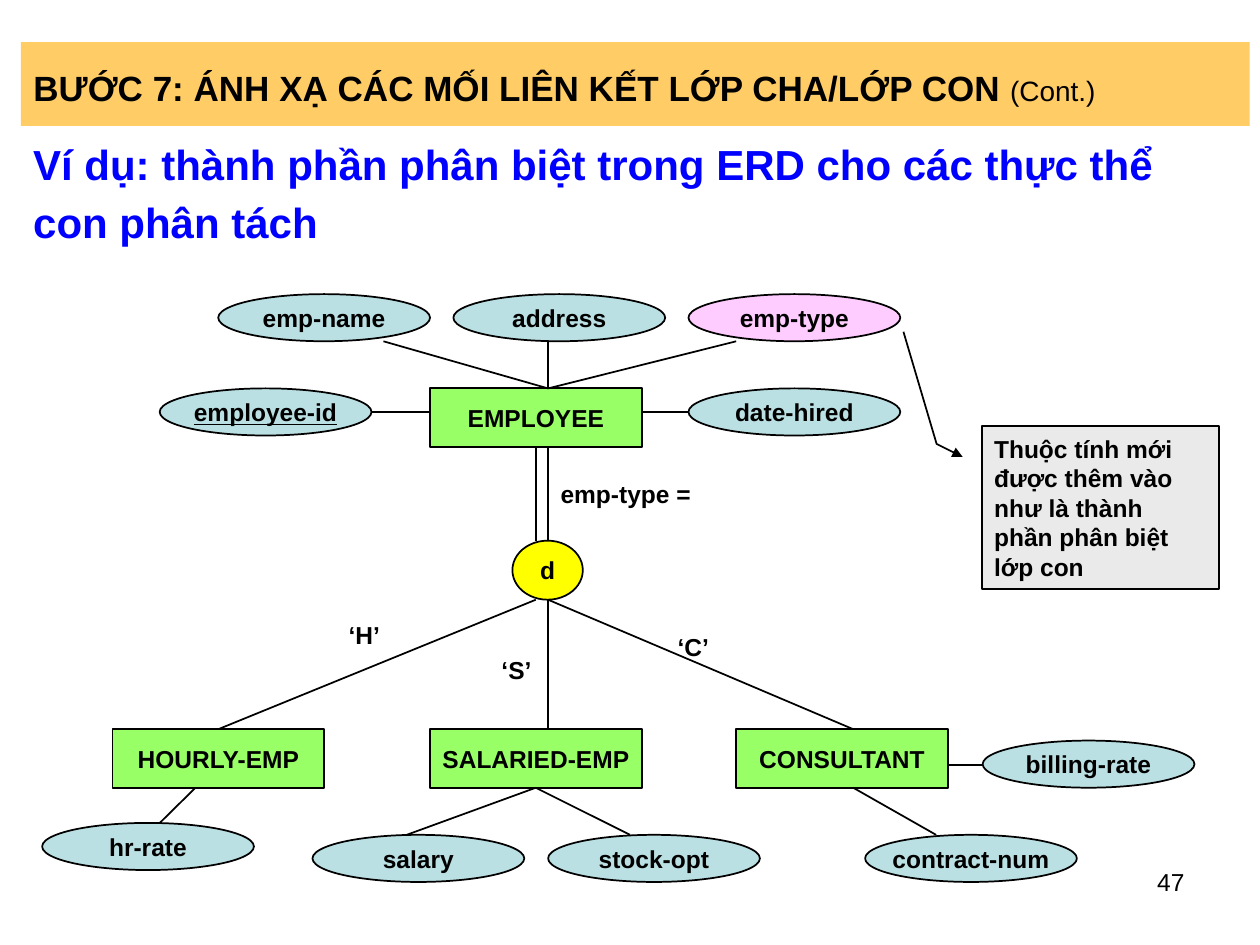
"""Build the slide on mapping superclass/subclass links, with its EMPLOYEE diagram."""
from lxml.etree import SubElement
from pptx import Presentation
from pptx.dml.color import RGBColor
from pptx.enum.shapes import MSO_CONNECTOR, MSO_SHAPE
from pptx.enum.text import MSO_ANCHOR as ANCHOR, MSO_AUTO_SIZE, PP_ALIGN as ALIGN
from pptx.oxml.ns import qn
from pptx.util import Cm, Pt

COLORS = {"black": "000000", "banner": "FFCC66", "heading": "0000FF", "entity": "99FF66",
          "attribute": "BBE0E3", "discriminator": "FFCCFF", "disjoint": "FFFF00", "note": "EAEAEA"}


def write(shape, text, size=14, color="black", bold=True, align=ALIGN.LEFT, wrap=True,
          anchor=ANCHOR.MIDDLE, spacing=1.0):
    frame = shape.text_frame
    frame.text = text
    frame.word_wrap = wrap
    frame.auto_size = MSO_AUTO_SIZE.NONE
    frame.vertical_anchor = anchor
    paragraph = frame.paragraphs[0]
    paragraph.alignment = align
    paragraph.line_spacing = spacing
    font = paragraph.runs[0].font
    font.name, font.size, font.bold = "Arial", Pt(size), bold
    font.color.rgb = RGBColor.from_string(COLORS[color])
    return paragraph


def draw(kind, box, fill):
    shape = slide.shapes.add_shape(kind, *map(Cm, box))
    shape.shadow.inherit = False
    shape.fill.solid()
    shape.fill.fore_color.rgb = RGBColor.from_string(COLORS[fill])
    shape.line.color.rgb = RGBColor.from_string(COLORS["black"])
    shape.line.width = Pt(1)
    return shape


deck = Presentation()
deck.slide_width, deck.slide_height = Cm(25.4), Cm(19.05)
slide = deck.slides.add_slide(deck.slide_layouts[5])

banner = slide.shapes.title
banner.left, banner.top, banner.width, banner.height = map(Cm, (0.42, 0.85, 24.77, 1.69))
banner.fill.solid()
banner.fill.fore_color.rgb = RGBColor.from_string(COLORS["banner"])
heading = write(banner, "BƯỚC 7: ÁNH XẠ CÁC MỐI LIÊN KẾT LỚP CHA/LỚP CON ", size=20, spacing=1.15)
continued = heading.add_run()
continued.text = "(Cont.)"
continued.font.name, continued.font.size, continued.font.bold = "Arial", Pt(16), False
continued.font.color.rgb = RGBColor.from_string(COLORS["black"])

example = slide.shapes.add_textbox(Cm(0.42), Cm(2.96), Cm(24.77), Cm(1.69))
write(example, "Ví dụ: thành phần phân biệt trong ERD cho các thực thể con phân tách",
      size=24, color="heading", spacing=1.15)

NODE_W, ENTITY_H, ATTRIBUTE_H = 4.27, 1.19, 0.95
entities = [("EMPLOYEE", 8.67, 7.83), ("HOURLY-EMP", 2.27, 14.7),
            ("SALARIED-EMP", 8.67, 14.7), ("CONSULTANT", 14.84, 14.7)]
attributes = [("emp-name", 4.4, 5.93), ("address", 9.14, 5.93), ("emp-type", 13.88, 5.93),
              ("employee-id", 3.22, 7.83), ("date-hired", 13.88, 7.83),
              ("billing-rate", 19.81, 14.93), ("hr-rate", 0.85, 16.59),
              ("salary", 6.3, 16.83), ("stock-opt", 11.05, 16.83), ("contract-num", 17.44, 16.83)]

for name, left, top in entities:
    entity = draw(MSO_SHAPE.RECTANGLE, (left, top, NODE_W, ENTITY_H), "entity")
    write(entity, name, align=ALIGN.CENTER, wrap=False)

for name, left, top in attributes:
    fill = "discriminator" if name == "emp-type" else "attribute"
    attribute = draw(MSO_SHAPE.OVAL, (left, top, NODE_W, ATTRIBUTE_H), fill)
    label = write(attribute, name, align=ALIGN.CENTER, wrap=False)
    if name == "employee-id":
        label.runs[0].font.underline = True

disjoint = draw(MSO_SHAPE.OVAL, (10.33, 10.9, 1.42, ENTITY_H), "disjoint")
write(disjoint, "d", align=ALIGN.CENTER, wrap=False)

links = [
    (11.05, 6.88, 11.05, 7.83), (11.05, 7.83, 7.73, 6.88), (11.05, 7.83, 14.84, 6.88),
    (12.94, 8.3, 13.88, 8.3), (8.67, 8.3, 7.49, 8.3),
    (10.8, 9.02, 10.8, 10.9), (11.05, 9.02, 11.05, 10.9),
    (10.8, 12.09, 4.4, 14.7), (11.05, 12.09, 11.05, 14.7), (11.05, 12.09, 17.2, 14.7),
    (3.94, 15.88, 3.22, 16.59), (10.8, 15.88, 8.2, 16.83), (10.8, 15.88, 12.7, 16.83),
    (17.2, 15.88, 18.87, 16.83), (19.1, 15.42, 19.81, 15.42),
]
for ends in links:
    link = slide.shapes.add_connector(MSO_CONNECTOR.STRAIGHT, *map(Cm, ends))
    link.line.color.rgb = RGBColor.from_string(COLORS["black"])
    link.line.width = Pt(1)
    SubElement(link._element.spPr, qn("a:effectLst"))

conditions = [("emp-type =", 11.05, 9.47, 5.69), ("‘H’", 6.78, 12.32, 1.65),
              ("‘S’", 9.86, 13.03, 1.65), ("‘C’", 13.41, 12.57, 1.65)]
for text, left, top, width in conditions:
    condition = slide.shapes.add_textbox(Cm(left), Cm(top), Cm(width), Cm(ATTRIBUTE_H))
    write(condition, text)

note = draw(MSO_SHAPE.LINE_CALLOUT_2, (19.79, 8.59, 4.78, 3.28), "note")
for index, value in enumerate((0.19, -0.08, 0.11, -0.19, -0.58, -0.33)):
    note.adjustments[index] = value
SubElement(note.line._get_or_add_ln(), qn("a:headEnd"), type="triangle")
write(note, "Thuộc tính mới được thêm vào như là thành phần phân biệt lớp con")

page_number = slide.shapes.add_textbox(Cm(18.21), Cm(17.35), Cm(5.92), Cm(1.32))
write(page_number, "47", bold=False, align=ALIGN.RIGHT, anchor=ANCHOR.TOP)

deck.save("out.pptx")
